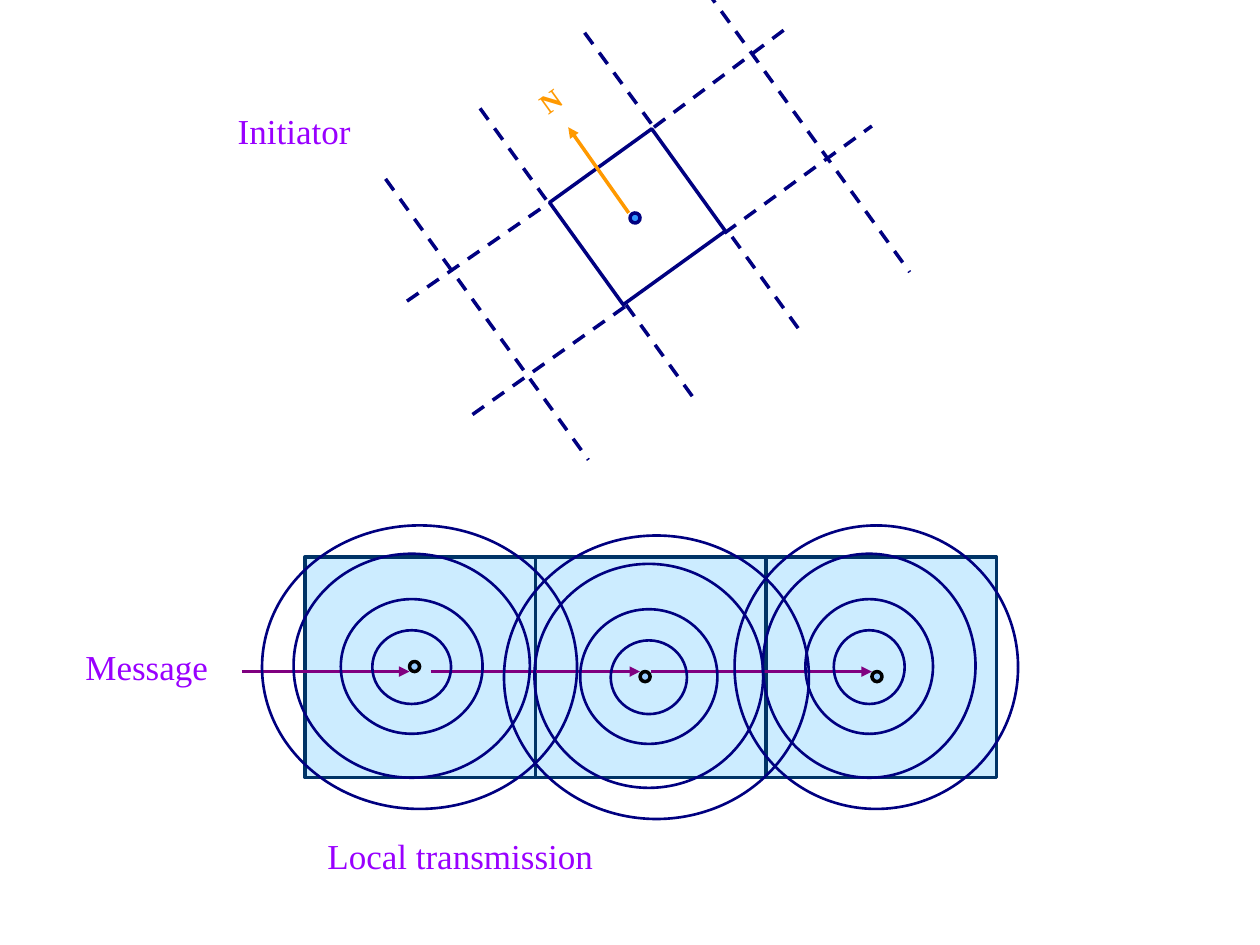
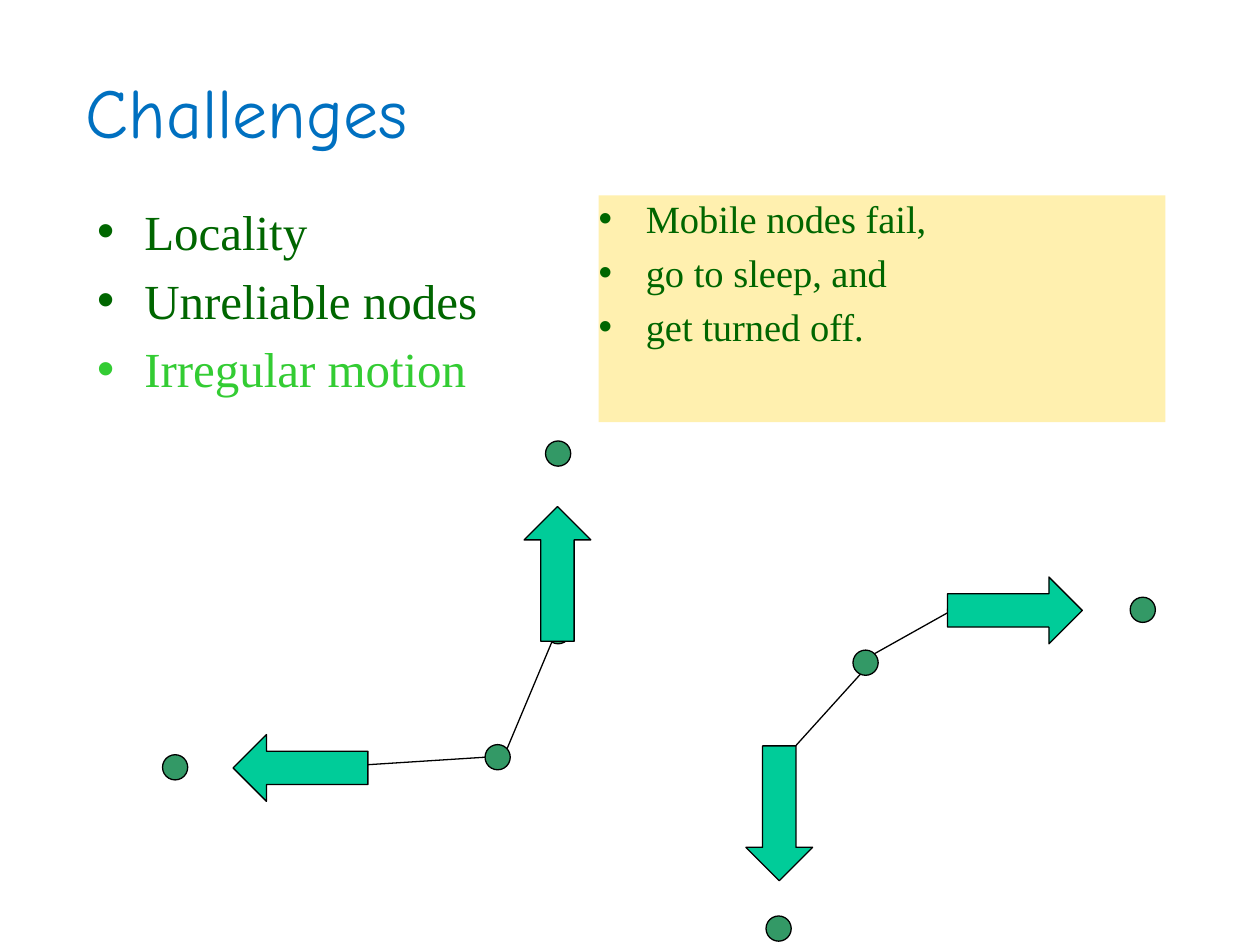
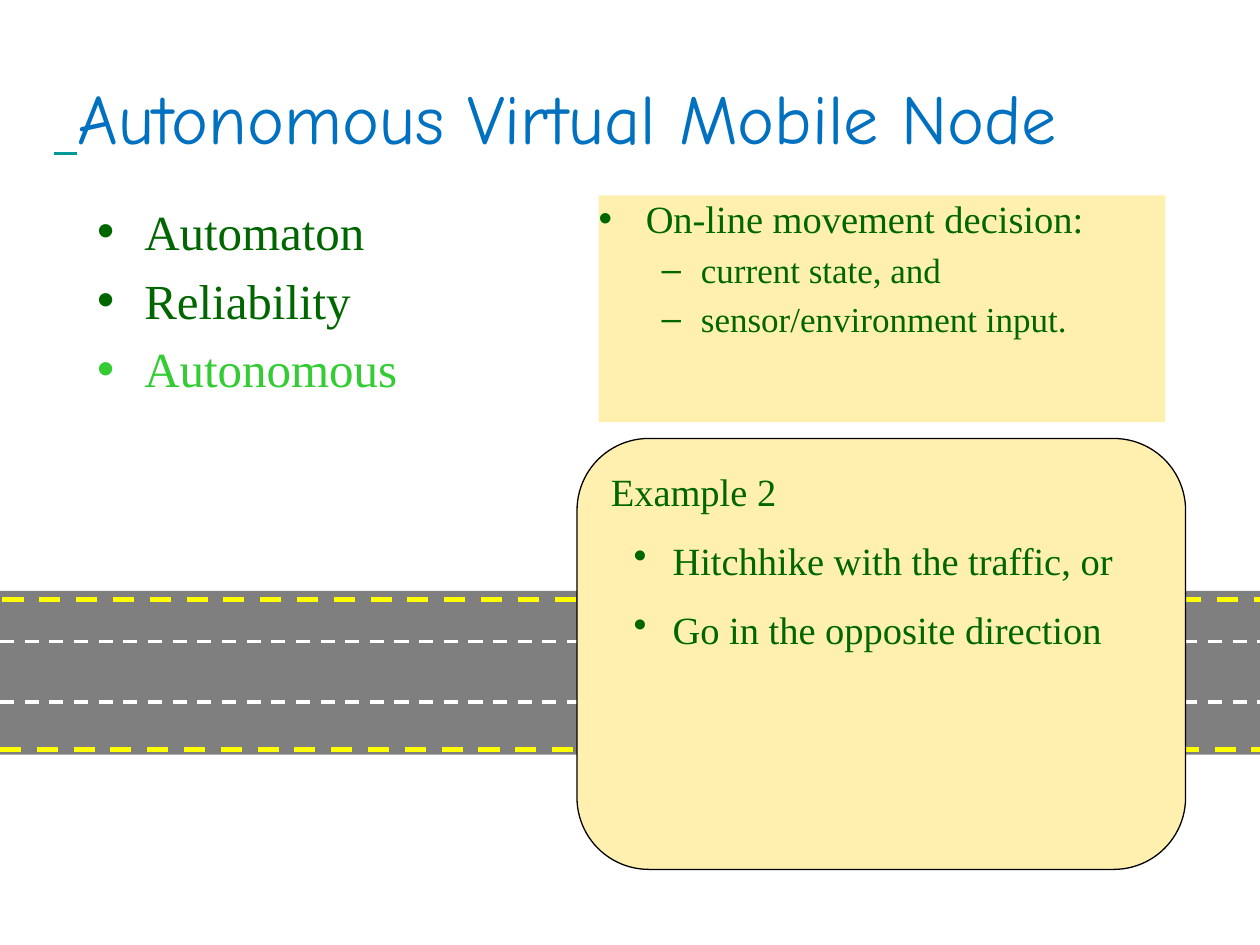
from lxml.etree import SubElement
from pptx import Presentation
from pptx.dml.color import RGBColor
from pptx.enum.dml import MSO_LINE
from pptx.enum.shapes import MSO_CONNECTOR, MSO_SHAPE as SHAPE
from pptx.enum.text import MSO_ANCHOR as ANCHOR, MSO_AUTO_SIZE as FIT, PP_ALIGN as ALIGN
from pptx.oxml.ns import qn
from pptx.util import Emu, Pt

PX = 9144
COLORS = {
    "title": "0070C0", "underline": "009999", "text": "006600", "highlight": "33CC33",
    "label": "9900FF", "panel": "FFF0AF", "black": "000000", "white": "FFFFFF",
    "cell": "CCECFF", "cell_edge": "003366", "navy": "000080", "message": "800080",
    "node": "99CCFF", "center": "3399FF", "north": "FF9900",
    "mobile": "339966", "arrow": "00CC99", "road_edge": "FFFF00",
}
TITLE_FONT = "Comic Neue"
BODY_FONT = "Times New Roman"
BLANK, TWO_CONTENT = 6, 3


def px(length):
    return Emu(round(length * PX))


def rgb(name):
    return RGBColor.from_string(COLORS[name])


def assign(target, values):
    for name, value in values.items():
        setattr(target, name, value)


class Painter:
    def __init__(self):
        self.deck = Presentation()
        assign(self.deck, {"slide_width": px(1000), "slide_height": px(750)})
        self.page = None

    def new_page(self, layout):
        self.page = self.deck.slides.add_slide(self.deck.slide_layouts[layout])

    def place(self, shape, at):
        assign(shape, dict(zip(("left", "top", "width", "height"), map(px, at))))

    def span(self, para, text, size, color, font=BODY_FONT, **style):
        span = para.add_run()
        span.text = text
        assign(span.font, {"name": font, "size": Pt(size), **style})
        span.font.color.rgb = rgb(color)

    def stroke(self, line, color, width, dash=None):
        line.color.rgb = rgb(color)
        assign(line, {"width": Pt(width), "dash_style": dash})

    def shape(self, kind, at, fill=None, edge=None, width=0.75, rotation=0, alpha=None):
        shape = self.page.shapes.add_shape(kind, *map(px, at))
        shape.shadow.inherit = False
        shape.rotation = rotation
        if fill:
            shape.fill.solid()
            shape.fill.fore_color.rgb = rgb(fill)
        else:
            shape.fill.background()
        if alpha:
            tone = shape.element.spPr.find(".//" + qn("a:srgbClr"))
            SubElement(tone, qn("a:alpha"), val=str(alpha * 1000))
        if edge:
            self.stroke(shape.line, edge, width)
        else:
            shape.line.fill.background()

    def line(self, ends, color, width, dashed=False, arrow=False):
        line = self.page.shapes.add_connector(MSO_CONNECTOR.STRAIGHT, *map(px, ends))
        self.stroke(line.line, color, width, MSO_LINE.DASH if dashed else None)
        properties = line.element.spPr
        if arrow:
            SubElement(properties.find(qn("a:ln")), qn("a:tailEnd"), type="triangle")
        SubElement(properties, qn("a:effectLst"))

    def text_box(self, at, **frame):
        box = self.page.shapes.add_textbox(*map(px, at))
        assign(box.text_frame, {"word_wrap": True, **frame})
        return box

    def label(self, text, at, align=ALIGN.LEFT):
        para = self.text_box(at, auto_size=FIT.SHAPE_TO_FIT_TEXT).text_frame.paragraphs[0]
        para.alignment = align
        self.span(para, text, 20, "label")

    def title(self, text, at, underlined_lead=None):
        title = self.page.shapes.title
        self.place(title, at)
        assign(title.text_frame, {"vertical_anchor": ANCHOR.MIDDLE, "auto_size": FIT.NONE})
        para = title.text_frame.paragraphs[0]
        para.alignment = ALIGN.LEFT
        if underlined_lead:
            self.span(para, underlined_lead, 40, "underline", TITLE_FONT, underline=True)
        self.span(para, text, 40, "title", TITLE_FONT)

    def bullets(self, index, at, items, fill=None):
        body = self.page.placeholders[index]
        self.place(body, at)
        frame = body.text_frame
        frame.auto_size = FIT.NONE
        if fill:
            body.fill.solid()
            body.fill.fore_color.rgb = rgb(fill)
            assign(frame, dict.fromkeys(
                ("margin_left", "margin_top", "margin_right", "margin_bottom"), 0))
        for number, (text, level, size, color) in enumerate(items):
            para = frame.add_paragraph() if number else frame.paragraphs[0]
            para.level = level
            self.span(para, text, size, color)

    def topics(self, *names):
        *done, current = names
        items = [(name, 0, 28, "text") for name in done]
        self.bullets(1, (67, 155, 375, 180), items + [(current, 0, 28, "highlight")])

    def panel(self, *items):
        rows = [(text, level, 20 if level else 22, "text") for text, level in items]
        self.bullets(2, (475, 155, 450, 180), rows, "panel")

    def example(self, at, heading, items):
        frame = self.text_box(at).text_frame
        for number, text in enumerate((heading, *items)):
            para = frame.add_paragraph() if number else frame.paragraphs[0]
            para.line_spacing = 1.5
            self.span(para, text, 22, "text")
            properties = para._p.get_or_add_pPr()
            properties.set("marL", str(px(57 if number else 8)))
            if number:
                properties.set("indent", str(px(-31)))
                SubElement(properties, qn("a:buChar"), char="•")

    def ripples(self, left, top, width, height):
        rings = ((0.35, 0.37, 0.25, 0.26), (0.25, 0.26, 0.45, 0.475),
                 (0.1, 0.1, 0.75, 0.79), (0, 0, 1, 1))
        for x, y, across, down in rings:
            at = (left + x * width, top + y * height, across * width, down * height)
            self.shape(SHAPE.OVAL, at, edge="navy", width=1.5)


def draw_transmission(painter):
    painter.new_page(BLANK)
    for left in (242, 425, 608):
        painter.shape(SHAPE.RECTANGLE, (left, 442, 183, 175), "cell", "cell_edge", 2)
    for left, top in ((325, 525), (508, 533), (692, 533)):
        painter.shape(SHAPE.OVAL, (left, top, 8, 8), "node", "black", 2)
    for start, end in ((192, 325), (342, 508), (517, 692)):
        painter.line((start, 533, end, 533), "message", 2, arrow=True)
    for left, top, width in ((208, 417, 250), (400, 425, 242), (583, 417, 225)):
        painter.ripples(left, top, width, 225)
    painter.label("Message", (58, 507, 133, 43))
    painter.label("Local transmission", (250, 657, 242, 43))
    painter.label("Initiator", (167, 82, 133, 43), ALIGN.CENTER)

    tilt = 324.2
    painter.shape(SHAPE.RECTANGLE, (456, 122, 100, 100), None, "navy", 2, tilt)
    painter.shape(SHAPE.OVAL, (500, 169, 8, 8), "center", "navy", 2, tilt)
    painter.line((499, 169, 451, 101), "north", 2, arrow=True)
    north = painter.text_box((419, 64, 33, 33), word_wrap=False, vertical_anchor=ANCHOR.MIDDLE)
    north.rotation = tilt
    para = north.text_frame.paragraphs[0]
    para.alignment = ALIGN.CENTER
    painter.span(para, "N", 16, "north", bold=True)
    grid_lines = (
        (306, 142, 467, 365), (323, 239, 430, 165), (581, 188, 636, 264),
        (497, 242, 552, 318), (464, 26, 519, 101), (381, 86, 436, 162),
        (519, 101, 626, 21), (375, 329, 498, 242), (575, 185, 692, 100),
        (561, -7, 722, 216),
    )
    for ends in grid_lines:
        painter.line(ends, "navy", 2, dashed=True)


def draw_challenges(painter):
    painter.new_page(TWO_CONTENT)
    painter.title("Challenges", (58, 25, 850, 125))
    links = ((275, 608, 400, 600), (400, 600, 442, 500),
             (692, 525, 617, 608), (758, 483, 683, 525))
    for ends in links:
        painter.line(ends, "black", 0.75)
    painter.topics("Locality", "Unreliable nodes", "Irregular motion")
    painter.panel(("Mobile nodes fail,", 0), ("go to sleep, and", 0), ("get turned off.", 0))

    def draw_nodes(corners):
        for corner in corners:
            painter.shape(SHAPE.OVAL, (*corner, 20, 20), "mobile", "black")

    draw_nodes(((752, 474), (433, 491), (385, 591), (677, 516), (608, 595), (269, 599)))
    moves = (
        (SHAPE.RIGHT_ARROW, (752, 458, 107, 53)), (SHAPE.LEFT_ARROW, (185, 583, 107, 53)),
        (SHAPE.UP_ARROW, (416, 402, 53, 107)), (SHAPE.DOWN_ARROW, (592, 592, 53, 107)),
    )
    for kind, at in moves:
        painter.shape(kind, at, "arrow", "black")
    draw_nodes(((897, 474), (433, 350), (608, 727), (129, 599)))


def draw_autonomous(painter):
    painter.new_page(TWO_CONTENT)
    painter.shape(SHAPE.RECTANGLE, (0, 469, 1000, 130), "black", alpha=50)
    lanes = ((0, 509, "white", 2), (0, 557, "white", 2),
             (0, 595, "road_edge", 3), (2, 476, "road_edge", 3))
    for left, y, color, width in lanes:
        painter.line((left, y, left + 1000, y), color, width, dashed=True)
    painter.title("Autonomous Virtual Mobile Node", (33, 30, 942, 125), underlined_lead=" ")
    painter.topics("Automaton", "Reliability", "Autonomous")
    painter.panel(("On-line movement decision:", 0), ("current state, and", 1),
                  ("sensor/environment input.", 1))
    painter.shape(SHAPE.ROUNDED_RECTANGLE, (458, 348, 483, 342), "panel", "black")
    painter.example((467, 348, 483, 342), "Example 2",
                    ("Hitchhike with the traffic, or", "Go in the opposite direction"))


def main():
    painter = Painter()
    for draw in (draw_transmission, draw_challenges, draw_autonomous):
        draw(painter)
    painter.deck.save("out.pptx")


if __name__ == "__main__":
    main()
